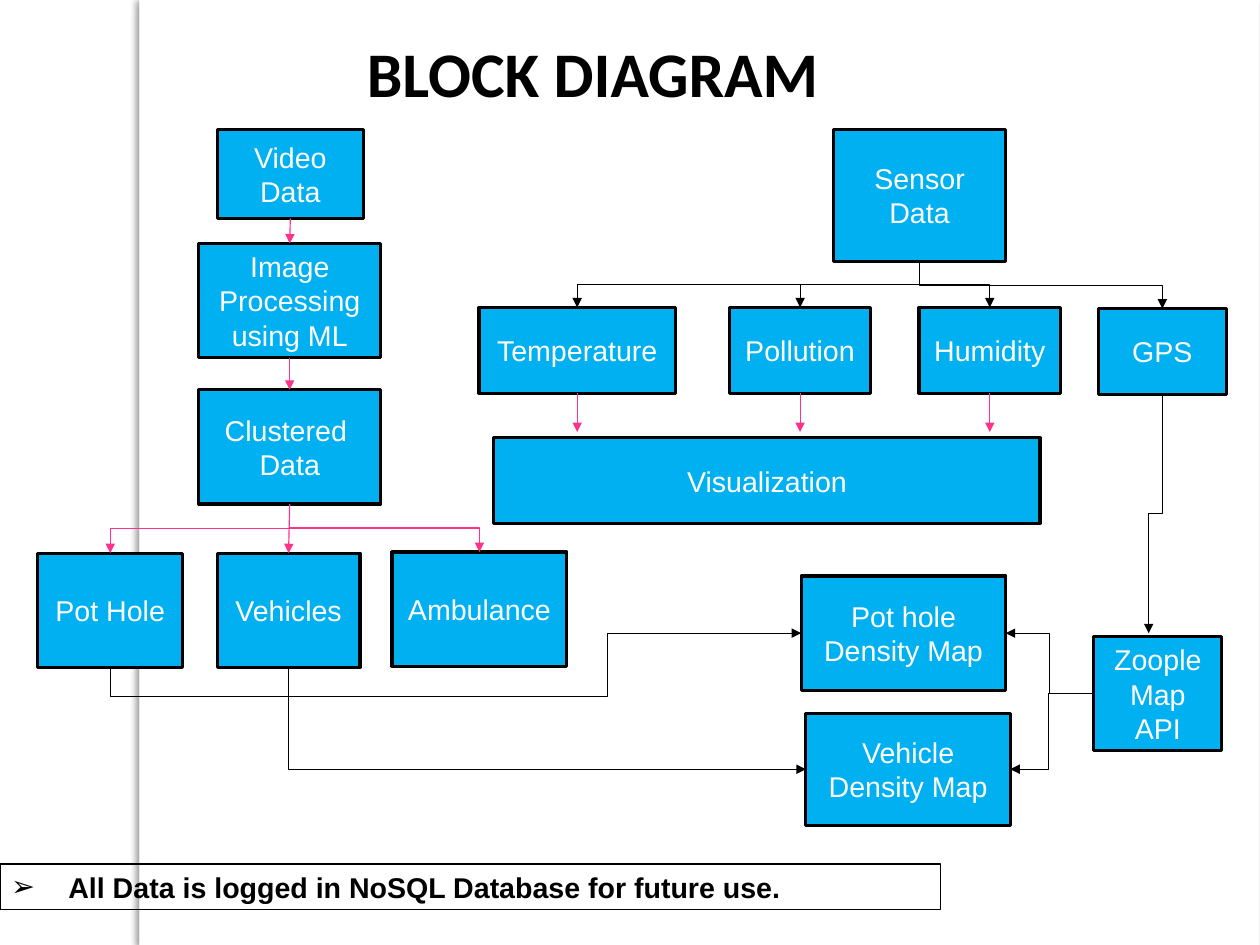
"""Build the block diagram slide for video and sensor data."""
from lxml import etree
from pptx import Presentation
from pptx.dml.color import RGBColor
from pptx.enum import shapes, text
from pptx.oxml import ns
from pptx.util import Cm, Inches, Pt

COLORS = {"box": "00B0F0", "ink": "000000", "pink": "FE3288", "paper": "FFFFFF", "shade": "686868"}
TITLE = "BLOCK DIAGRAM"
NOTE = "All Data is logged in NoSQL Database for future use."

# left, top, width, height
BOXES = {
    "Video Data": (1.9, 1.13, 1.28, 0.78),
    "Sensor Data": (7.29, 1.13, 1.51, 1.16),
    "Image Processing using ML": (1.74, 2.13, 1.59, 1),
    "Clustered  Data": (1.74, 3.41, 1.59, 1),
    "Pot Hole": (0.33, 4.84, 1.27, 1),
    "Vehicles": (1.9, 4.84, 1.25, 1),
    "Ambulance": (3.43, 4.83, 1.53, 1),
    "Temperature": (4.19, 2.69, 1.72, 0.75),
    "Pollution": (6.38, 2.69, 1.24, 0.75),
    "Humidity": (8.04, 2.69, 1.24, 0.75),
    "GPS": (9.61, 2.7, 1.12, 0.75),
    "Visualization": (4.32, 3.83, 4.78, 0.75),
    "Pot hole Density Map": (7.01, 5.04, 1.79, 1),
    "Vehicle Density Map": (7.05, 6.24, 1.79, 0.98),
    "Zoople Map API": (9.57, 5.57, 1.12, 1),
}
SENSORS = ["Temperature", "Pollution", "Humidity"]
CLUSTERS = ["Pot Hole", "Ambulance"]
STRAIGHT = [("Video Data", "Image Processing using ML"),
            ("Image Processing using ML", "Clustered  Data"),
            ("Clustered  Data", "Vehicles")]
PANELS = [((1.22, 0, 9.8, 8.27), "ink", 44, 5, 2, 90),
          ((1.22, 0, 0.09, 8.27), "shade", 25, 3, 3, 180)]


def rgb(name):
    return RGBColor.from_string(COLORS[name])


def add(parent, tag, **attrs):
    return etree.SubElement(parent, ns.qn(tag), {k: str(v) for k, v in attrs.items()})


def port(name, side):
    x, y, w, h = BOXES[name]
    return {"top": (x + w / 2, y), "bottom": (x + w / 2, y + h),
            "left": (x, y + h / 2), "right": (x + w, y + h / 2)}[side]


def add_rect(s, box, fill=None, line=None, width=2):
    sp = s.shapes.add_shape(shapes.MSO_SHAPE.RECTANGLE, *map(Inches, box))
    sp.shadow.inherit = False
    if fill:
        sp.fill.solid()
        sp.fill.fore_color.rgb = rgb(fill)
    else:
        sp.fill.background()
    if line:
        sp.line.color.rgb = rgb(line)
        sp.line.width = Pt(width)
    else:
        sp.line.fill.background()
    return sp


def write(sp, words, size, font, color, align, bold=False):
    tf = sp.text_frame
    tf.text = words
    p = tf.paragraphs[0]
    p.alignment = align
    f = p.runs[0].font
    f.size, f.name, f.bold = Pt(size), font, bold
    f.color.rgb = rgb(color)
    return p


def add_panel(s, box, color, alpha, blur, dist, angle):
    sp = add_rect(s, box, "paper")
    effects = sp._element.spPr.find(ns.qn("a:effectLst"))
    shadow = add(effects, "a:outerShdw", blurRad=Pt(blur), dist=Pt(dist),
                 dir=angle * 60000, algn="ctr", rotWithShape=0)
    add(add(shadow, "a:srgbClr", val=COLORS[color]), "a:alpha", val=alpha * 1000)


def add_arrow(s, start, end, color="ink", preset="straightConnector1", down=False, adj=()):
    (x1, y1), (x2, y2) = start, end
    dx, dy = x2 - x1, y2 - y1
    turn = -1 if dx > 0 and dy > 0 else 1
    if down:
        cx, cy = (x1 + x2) / 2, (y1 + y2) / 2
        hx, hy = turn * dy / 2, -turn * dx / 2
        x1, y1, x2, y2 = cx - hx, cy - hy, cx + hx, cy + hy
    kind = shapes.MSO_CONNECTOR.STRAIGHT if preset.startswith("straight") else shapes.MSO_CONNECTOR.ELBOW
    c = s.shapes.add_connector(kind, *map(Inches, (x1, y1, x2, y2)))
    c.line.color.rgb = rgb(color)
    c.line.width = Pt(0.75)
    spPr = c._element.spPr
    if down:
        spPr.find(ns.qn("a:xfrm")).set("rot", str((90 if turn > 0 else 270) * 60000))
    geom = spPr.find(ns.qn("a:prstGeom"))
    geom.set("prst", preset)
    guides = geom.find(ns.qn("a:avLst"))
    for i, value in enumerate(adj, 1):
        add(guides, "a:gd", name=f"adj{i}", fmla=f"val {round(value * 100000)}")
    add(spPr.find(ns.qn("a:ln")), "a:tailEnd", type="triangle")
    add(spPr, "a:effectLst")


def add_arrows(s):
    bent = "bentConnector3"
    for name in SENSORS + ["GPS"]:
        add_arrow(s, port("Sensor Data", "bottom"), port(name, "top"), "ink", bent, True, [0.5])
    for name in CLUSTERS:
        add_arrow(s, port("Clustered  Data", "bottom"), port(name, "top"), "pink", bent, True, [0.5])
    for name in SENSORS:
        x, y = port(name, "bottom")
        add_arrow(s, (x, y), (x, y + 0.34), "pink")
    for a, b in STRAIGHT:
        add_arrow(s, port(a, "bottom"), port(b, "top"), "pink")
    add_arrow(s, port("Vehicles", "bottom"), port("Vehicle Density Map", "left"),
              "ink", "bentConnector2", True)
    add_arrow(s, port("Pot Hole", "bottom"), port("Pot hole Density Map", "left"),
              "ink", "bentConnector4", True, [-0.84, 0.72])
    api = port("Zoople Map API", "left")
    add_arrow(s, api, port("Pot hole Density Map", "right"), "ink", bent, False, [0.5])
    add_arrow(s, api, port("Vehicle Density Map", "right"), "ink", bent, False, [0.54])
    add_arrow(s, port("GPS", "bottom"), (10.05, 5.54), "ink", bent, True, [0.5])


def add_title(s):
    sp = s.shapes.title
    sp._element.getparent().append(sp._element)
    sp.left, sp.top, sp.width, sp.height = map(Inches, (3.11, 0.25, 5.41, 0.77))
    write(sp, TITLE, 40, "Calibri", "ink", text.PP_ALIGN.LEFT, True)
    sp.text_frame.word_wrap = False
    sp.text_frame.auto_size = text.MSO_AUTO_SIZE.NONE
    sp.text_frame.vertical_anchor = text.MSO_ANCHOR.TOP


def add_note(s):
    sp = add_rect(s, (0, 7.56, 8.23, 0.4), None, "ink", 0.75)
    sp.text_frame.vertical_anchor = text.MSO_ANCHOR.TOP
    p = write(sp, NOTE, 18, "Arial", "ink", text.PP_ALIGN.LEFT, True)
    pPr = p._p.get_or_add_pPr()
    pPr.set("marL", str(Inches(0.5)))
    pPr.set("indent", str(-Inches(0.5)))
    add(pPr, "a:buFont", typeface="Arial")
    add(pPr, "a:buChar", char="➢")


def main():
    prs = Presentation()
    prs.slide_width, prs.slide_height = Cm(28), Cm(21)
    s = prs.slides.add_slide(prs.slide_layouts[5])
    for panel in PANELS:
        add_panel(s, *panel)
    for label, box in BOXES.items():
        sp = add_rect(s, box, "box", "ink")
        sp.text_frame.word_wrap = True
        sp.text_frame.vertical_anchor = text.MSO_ANCHOR.MIDDLE
        write(sp, label, 18, "Arial", "paper", text.PP_ALIGN.CENTER)
    add_note(s)
    add_arrows(s)
    add_title(s)
    prs.save("out.pptx")


if __name__ == "__main__":
    main()
